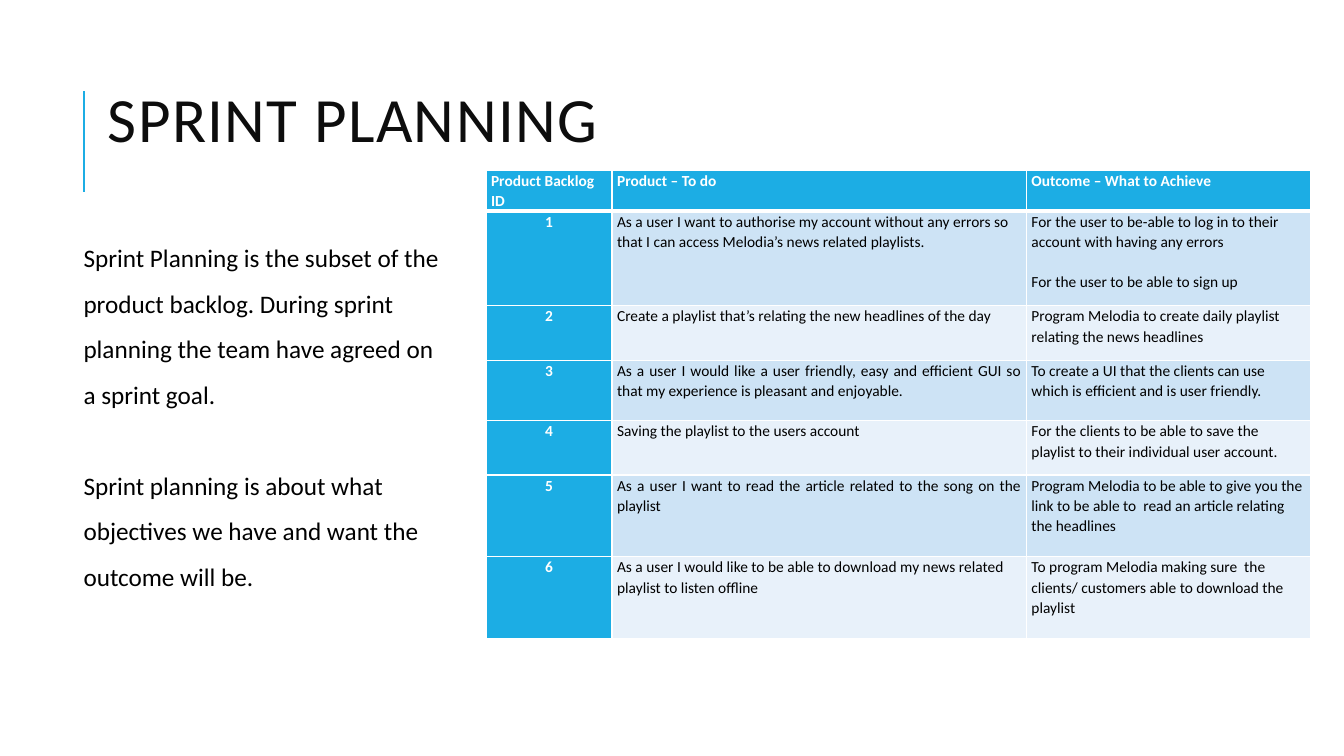
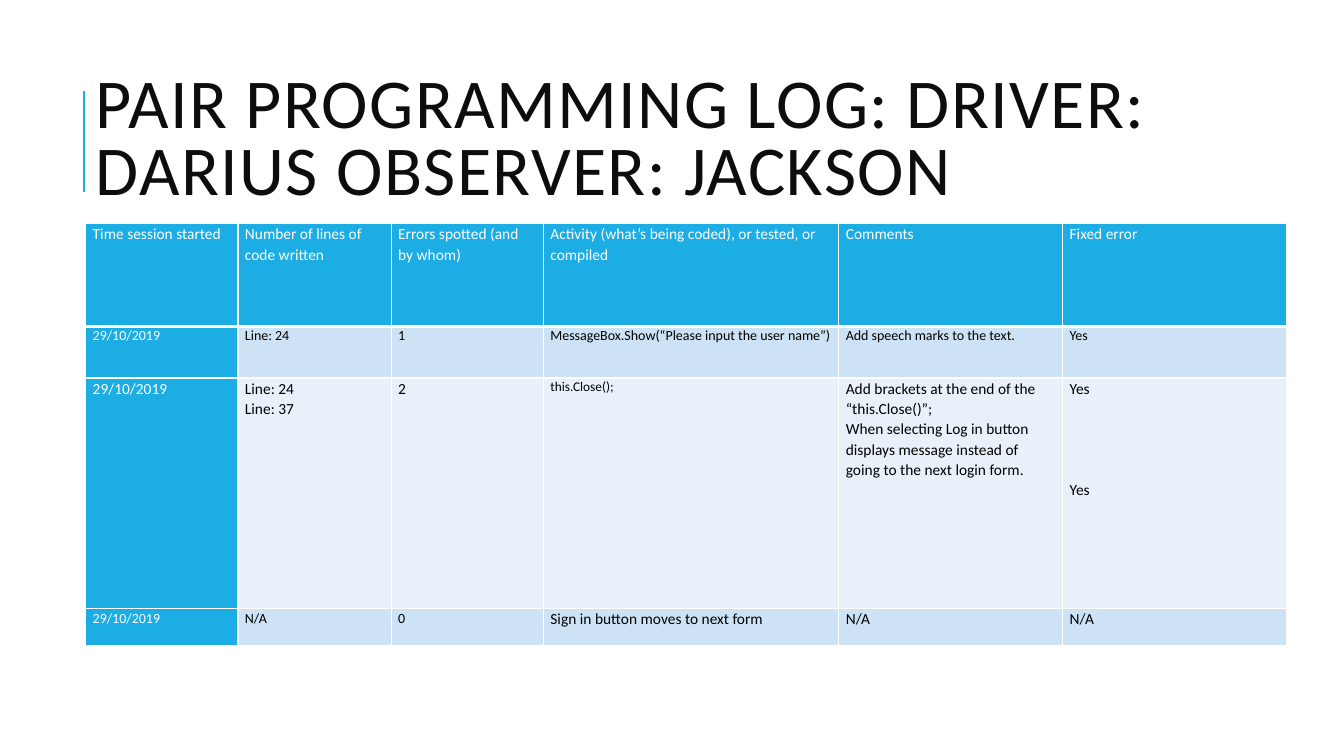
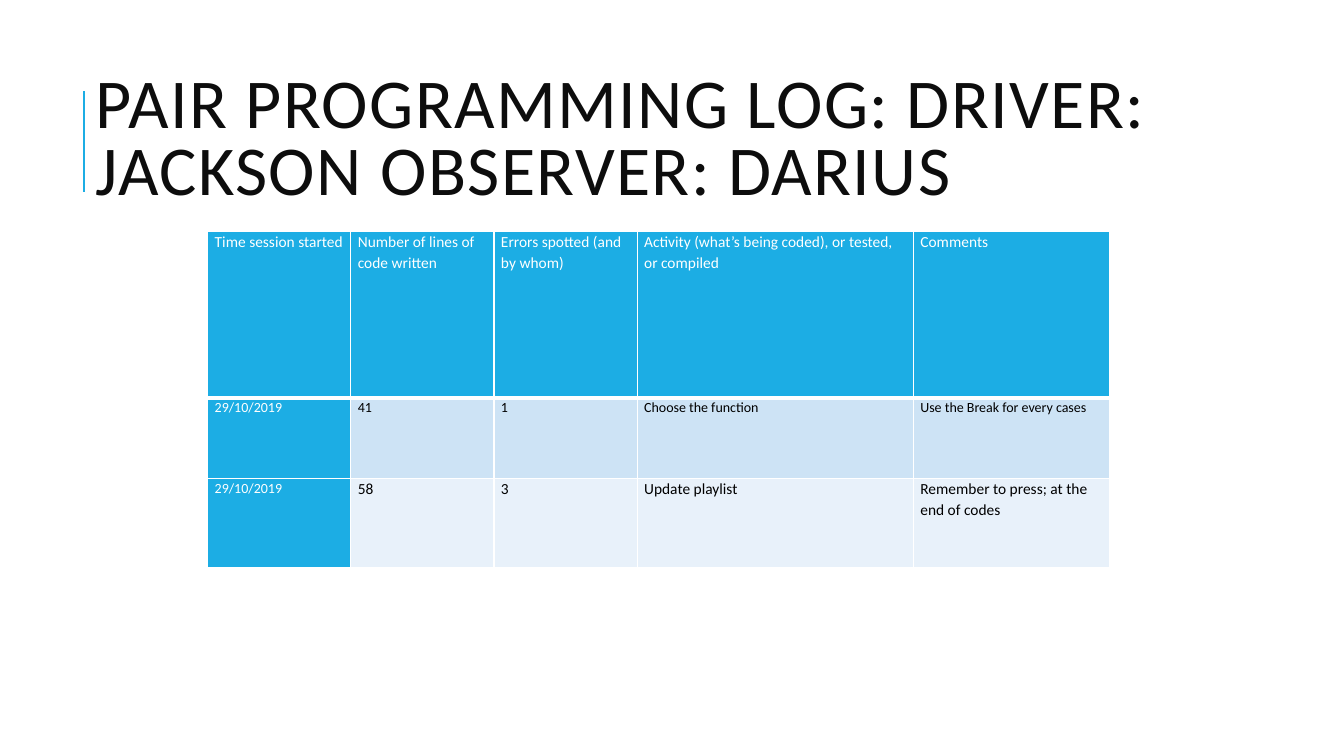
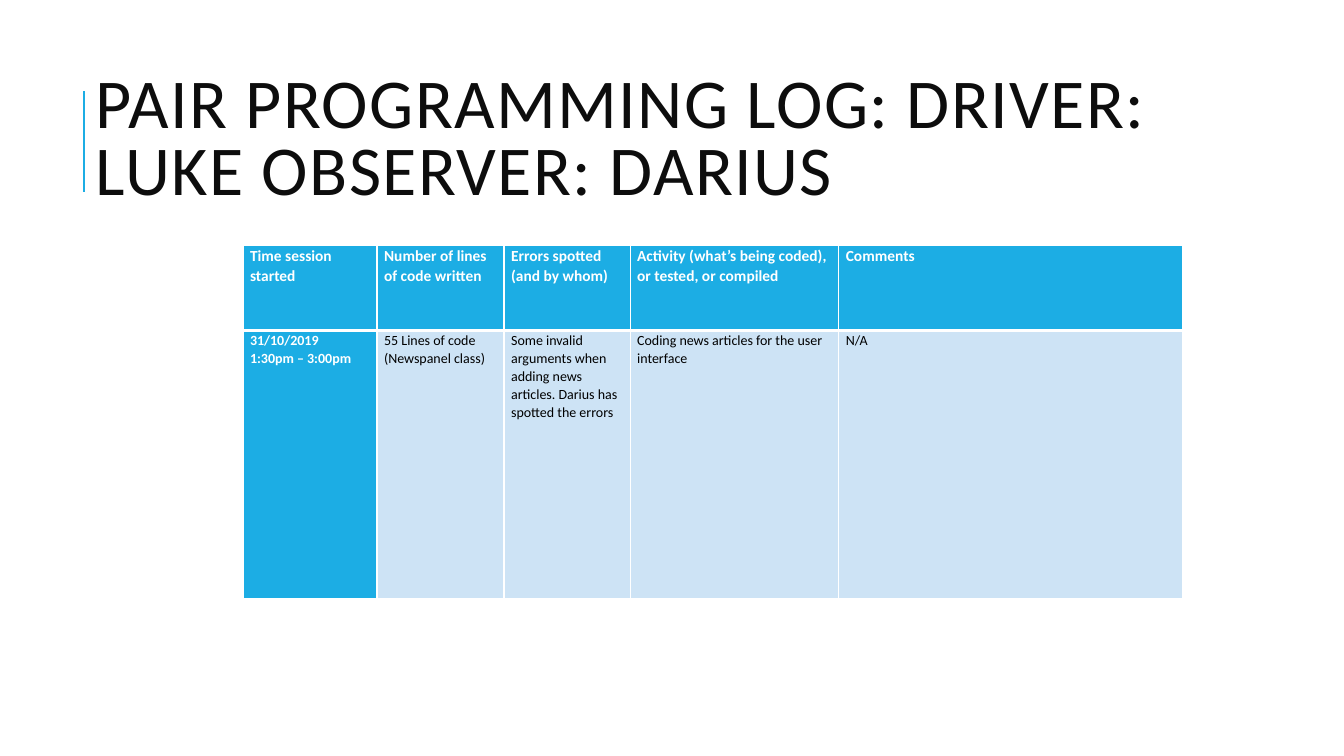
from lxml import etree
from pptx import Presentation
from pptx.dml.color import RGBColor
from pptx.enum.shapes import MSO_CONNECTOR
from pptx.enum.text import MSO_ANCHOR, MSO_AUTO_SIZE, PP_ALIGN
from pptx.oxml.ns import qn
from pptx.util import Inches, Pt

STRAIGHT = MSO_CONNECTOR.STRAIGHT
MIDDLE, BOTTOM = MSO_ANCHOR.MIDDLE, MSO_ANCHOR.BOTTOM
NO_FIT, GROW = MSO_AUTO_SIZE.NONE, MSO_AUTO_SIZE.SHAPE_TO_FIT_TEXT
LEFT, CENTER, JUSTIFY = PP_ALIGN.LEFT, PP_ALIGN.CENTER, PP_ALIGN.JUSTIFY

ACCENT = RGBColor(0x1C, 0xAD, 0xE4)
BANDS = RGBColor(0xE8, 0xF1, 0xFA), RGBColor(0xCD, 0xE3, 0xF5)  # even, odd rows
WHITE = RGBColor(0xFF, 0xFF, 0xFF)
BLACK = RGBColor(0, 0, 0)
INK = RGBColor(0x0D, 0x0D, 0x0D)
FONT = "Calibri"
TABLE_LINE = 14.4  # height in points of one line of table text

# Content: "\n" starts a new paragraph
SPRINT_NOTES = [
    "Sprint Planning is the subset of the product backlog. During sprint planning "
    "the team have agreed on a sprint goal.",
    "Sprint planning is about what objectives we have and want the outcome will be.",
]
BACKLOG = [
    ("Product Backlog ID", "Product – To do", "Outcome – What to Achieve"),
    ("1", "As a user I want to authorise my account without any errors so that I can "
          "access Melodia’s news related playlists.",
     "For the user to be-able to log in to their account with having any errors\n"
     "For the user to be able to sign up"),
    ("2", "Create a playlist that’s relating the new headlines of the day",
     "Program Melodia to create daily playlist relating the news headlines"),
    ("3", "As a user I would like a user friendly, easy and efficient GUI so that my "
          "experience is pleasant and enjoyable.",
     "To create a UI that the clients can use which is efficient and is user friendly."),
    ("4", "Saving the playlist to the users account",
     "For the clients to be able to save the playlist to their individual user account."),
    ("5", "As a user I want to read the article related to the song on the playlist",
     "Program Melodia to be able to give you the link to be able to  read an article "
     "relating the headlines"),
    ("6", "As a user I would like to be able to download my news related playlist to "
          "listen offline",
     "To program Melodia making sure  the clients/ customers able to download the "
     "playlist"),
]
LOG_HEAD = ("Time session started", "Number of lines of code written",
            "Errors spotted (and by whom)",
            "Activity (what’s being coded), or tested, or compiled", "Comments")
LOG_TITLE = "PAIR PROGRAMMING LOG: DRIVER: {} OBSERVER: {}"

# gaps: (row, column) -> empty lines kept above the last paragraph
# sizes: (row, column) -> text size where it differs from 11 points
SLIDES = [
    dict(title="SPRINT PLANNING",
         title_box=(0.97, 1.41, 10.63, 0.41),
         title_format=dict(vertical_anchor=BOTTOM, margin_bottom=Inches(0.29)),
         title_size=45, notes=SPRINT_NOTES,
         table=dict(rows=BACKLOG, at=(4.82, 1.69), widths=(1.25, 4.11, 2.82),
                    heights=(0.4, 0.94, 0.54, 0.6, 0.54, 0.81, 0.81),
                    inset=0.05, bold=True, gaps={(1, 2): 1},
                    aligns={**{(r, 0): CENTER for r in range(1, 7)},
                            **{(r, 1): JUSTIFY for r in (3, 4, 5)}})),
    dict(title=LOG_TITLE.format("DARIUS", "JACKSON"),
         title_box=(0.85, 0.6, 12.85, 1.62),
         table=dict(
             rows=[LOG_HEAD + ("Fixed error",),
                   ("29/10/2019", "Line: 24", "1",
                    "MessageBox.Show(“Please input the user name”)",
                    "Add speech marks to the text.", "Yes"),
                   ("29/10/2019", "Line: 24\nLine: 37", "2", "this.Close();",
                    "Add brackets at the end of the “this.Close()”;\n"
                    "When selecting Log in button displays message instead of going "
                    "to the next login form.", "Yes\nYes"),
                   ("29/10/2019", "N/A", "0", "Sign in button moves to next form",
                    "N/A", "N/A")],
             at=(0.85, 2.22), widths=(1.51, 1.52, 1.51, 2.93, 2.22, 2.22),
             heights=(1.02, 0.51, 2.29, 0.37), gaps={(2, 5): 4},
             sizes={**{(1, c): 10 for c in range(6)}, (2, 3): 9.5,
                    **{(3, c): 10 for c in range(3)}})),
    dict(title=LOG_TITLE.format("JACKSON", "DARIUS"),
         table=dict(
             rows=[LOG_HEAD,
                   ("29/10/2019", "41", "1", "Choose the function",
                    "Use the Break for every cases"),
                   ("29/10/2019", "58", "3", "Update playlist",
                    "Remember to press; at the end of codes")],
             at=(2.06, 2.3), widths=(1.42, 1.42, 1.42, 2.74, 1.95),
             heights=(1.65, 0.8, 0.88),
             sizes={**{(1, c): 10 for c in range(5)}, (2, 0): 10})),
    dict(title=LOG_TITLE.format("LUKE", "DARIUS"),
         table=dict(
             rows=[LOG_HEAD,
                   ("31/10/2019\n1:30pm – 3:00pm", "55 Lines of code (Newspanel class)",
                    "Some invalid arguments when adding news articles. Darius has "
                    "spotted the errors",
                    "Coding news articles for the user interface", "N/A")],
             at=(2.41, 2.43), widths=(1.33, 1.26, 1.25, 2.07, 3.41),
             heights=(0.85, 2.66), bold=True,
             sizes={(1, c): 10 for c in range(5)})),
]


def set_attrs(obj, **values):
    for name, value in values.items():
        setattr(obj, name, value)


def write(tf, lines, size, color, bold=False, **paragraph_format):
    tf.text = "\n".join(lines)
    for p in tf.paragraphs:
        set_attrs(p, **paragraph_format)
        for r in p.runs:
            set_attrs(r.font, name=FONT, size=Pt(size), bold=bold)
            r.font.color.rgb = color


def add_rule(slide, layout):
    """Draw the accent rule and hand it to the layout, so every slide shows it."""
    rule = slide.shapes.add_connector(
        STRAIGHT, Inches(0.83), Inches(1.9), Inches(0.83), Inches(0.9))
    rule.line.color.rgb = ACCENT
    rule.line.width = Pt(1.5)
    etree.SubElement(rule.element.spPr, qn("a:effectLst"))
    layout.shapes.element.append(rule.element)


def add_title(slide, text, box, size, tf_format):
    sp = slide.shapes.title
    set_attrs(sp, **dict(zip(("left", "top", "width", "height"), map(Inches, box))))
    tf = sp.text_frame
    set_attrs(tf, **{**dict(auto_size=NO_FIT, word_wrap=True,
                            vertical_anchor=MIDDLE), **tf_format})
    write(tf, [text], size, INK, alignment=LEFT, line_spacing=0.8)
    for r in tf.paragraphs[0].runs:
        r.font.fill.solid()
        r.font.color.rgb = INK
        r.font._element.set("spc", "100")


def add_notes(slide, lines):
    sp = slide.shapes.add_textbox(*map(Inches, (0.73, 2.21, 3.75, 3.74)))
    tf = sp.text_frame
    set_attrs(tf, word_wrap=True, auto_size=GROW)
    write(tf, lines, 18, BLACK, line_spacing=1.5)
    tf.paragraphs[-1].space_before = Pt(33)


def add_borders(cell, row):
    """White cell borders, with a thick one under the header."""
    widths = dict(lnL=1, lnR=1, lnT=3 if row == 1 else 1, lnB=3 if row == 0 else 1)
    tc_pr = cell._tc.get_or_add_tcPr()
    for tag, width in widths.items():
        ln = etree.SubElement(tc_pr, qn("a:" + tag), w=str(Pt(width)))
        fill = etree.SubElement(ln, qn("a:solidFill"))
        etree.SubElement(fill, qn("a:srgbClr"), val=str(WHITE))


def add_grid(slide, rows, at, widths, heights, inset=0.07, bold=False,
             aligns={}, sizes={}, gaps={}):
    box = map(Inches, (*at, sum(widths), sum(heights)))
    table = slide.shapes.add_table(len(rows), len(widths), *box).table
    table.horz_banding = False
    for column, width in zip(table.columns, widths):
        column.width = Inches(width)
    for r, (texts, height) in enumerate(zip(rows, heights)):
        table.rows[r].height = Inches(height)
        for c, text in enumerate(texts):
            cell, key = table.cell(r, c), (r, c)
            heading = r == 0 or c == 0
            set_attrs(cell, margin_left=Inches(inset), margin_right=Inches(inset),
                      margin_top=0, margin_bottom=0)
            add_borders(cell, r)
            cell.fill.solid()
            cell.fill.fore_color.rgb = ACCENT if heading else BANDS[r % 2]
            write(cell.text_frame, text.split("\n"), sizes.get(key, 11),
                  WHITE if heading else BLACK, bold and heading,
                  alignment=aligns.get(key, LEFT), line_spacing=1.07)
            if key in gaps:
                cell.text_frame.paragraphs[-1].space_before = Pt(gaps[key] * TABLE_LINE)


# Build the slides
prs = Presentation()
prs.slide_width, prs.slide_height = Inches(13.33), Inches(7.5)
title_only = prs.slide_layouts[5]
for n, content in enumerate(SLIDES):
    s = prs.slides.add_slide(title_only)
    if n == 0:
        add_rule(s, title_only)
    add_title(s, content["title"], content.get("title_box", (0.85, 0.6, 12.17, 1.62)),
              content.get("title_size", 50), content.get("title_format", {}))
    add_grid(s, **content["table"])
    if "notes" in content:
        add_notes(s, content["notes"])
prs.save("out.pptx")
